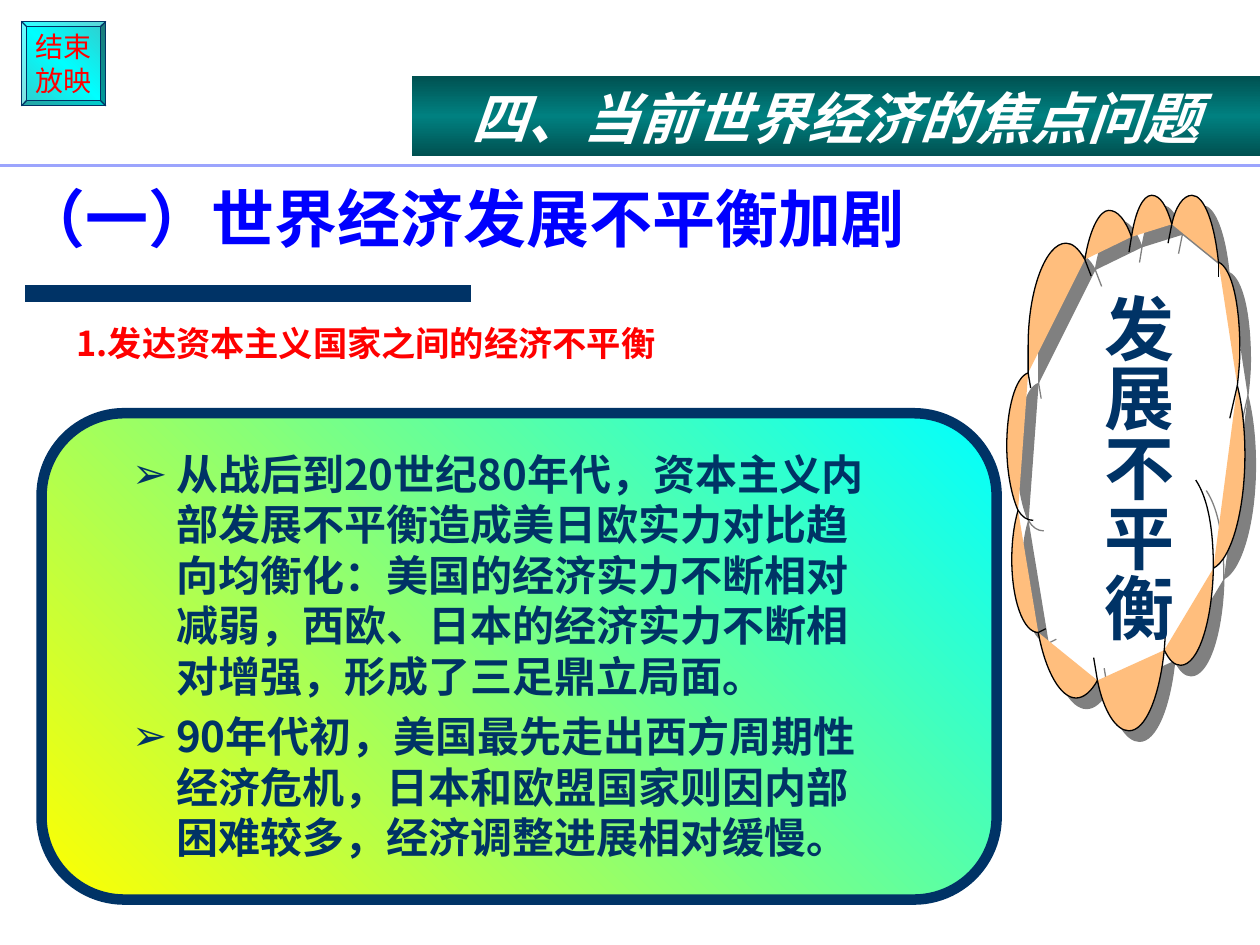
"""Build the slide on uneven development in the world economy."""
from lxml import etree
from pptx import Presentation, util as u
from pptx.dml.color import RGBColor
from pptx.enum import shapes, text
from pptx.oxml import parse_xml
from pptx.oxml.ns import qn

PX = 9144
NS = 'xmlns:a="http://schemas.openxmlformats.org/drawingml/2006/main"'
CJK = "Noto Sans CJK SC"
NAVY = "003366"

TITLE = "（一）世界经济发展不平衡加剧"
BANNER = "四、当前世界经济的焦点问题"
HEADING = "1.发达资本主义国家之间的经济不平衡"
SIDE = "发展不平衡"
BUTTON = ["结束", "放映"]
POINTS = [
    "从战后到20世纪80年代，资本主义内部发展不平衡造成美日欧实力对比趋向均衡化：美国的经济实力不断相对减弱，"
    "西欧、日本的经济实力不断相对增强，形成了三足鼎立局面。",
    "90年代初，美国最先走出西方周期性经济危机，日本和欧盟国家则因内部困难较多，经济调整进展相对缓慢。",
]
RULES = [(20, 233, 374, 233, NAVY, 10), (0, 131, 1000, 131, "9BA4FD", 1.75)]
CLOUD = (799, 155, 189, 425)
LOBES = [
    [(816, 296), (806, 299), (799, 324), (799, 354), (799, 375), (803, 394), (808, 405)],
    [(808, 405), (805, 415), (803, 429), (803, 444), (803, 476), (812, 502), (824, 502)],
    [(824, 502), (830, 534), (842, 554), (854, 554), (860, 554), (866, 549), (871, 540)],
    [(871, 540), (876, 565), (886, 580), (896, 580), (909, 580), (920, 554), (924, 516)],
    [(924, 516), (928, 524), (932, 528), (937, 528), (951, 528), (962, 494), (963, 451)],
    [(963, 451), (977, 444), (988, 406), (988, 361), (988, 341), (986, 322), (982, 306)],
    [(982, 306), (983, 297), (984, 287), (984, 278), (984, 242), (978, 213), (967, 208)],
    [(967, 208), (964, 178), (956, 155), (946, 155), (939, 155), (933, 164), (930, 178)],
    [(930, 178), (926, 164), (921, 155), (914, 155), (907, 155), (901, 168), (898, 188)],
    [(898, 188), (893, 174), (887, 167), (880, 167), (873, 167), (865, 181), (861, 206)],
    [(861, 206), (856, 197), (851, 193), (846, 193), (830, 193), (816, 230), (816, 274),
     (816, 281), (816, 289), (816, 296)],
]
CREASES = [
    [(808, 405), (811, 410), (815, 413), (820, 413)],
    [(963, 451), (963, 421), (959, 396), (949, 381)],
    [(824, 502), (830, 499)], [(871, 540), (868, 522)], [(924, 516), (925, 502)],
    [(982, 306), (976, 332)], [(967, 208), (967, 220)], [(930, 178), (927, 193)],
    [(898, 188), (896, 200)], [(861, 206), (866, 219)], [(816, 296), (818, 308)],
]


def rgb(c):
    return RGBColor.from_string(c)


def set_line(sp, color, width):
    sp.line.color.rgb = rgb(color)
    sp.line.width = u.Pt(width)


def set_gradient(sp, stops, angle):
    sp.fill.gradient()
    grad = sp._element.spPr.find(qn("a:gradFill"))
    stop_xml = "".join(f'<a:gs pos="{pos * 1000}"><a:srgbClr val="{c}"/></a:gs>' for pos, c in stops)
    grad.getparent().replace(grad, parse_xml(
        f'<a:gradFill {NS} rotWithShape="1"><a:gsLst>{stop_xml}</a:gsLst>'
        f'<a:lin ang="{angle * 60000}" scaled="0"/></a:gradFill>'))


def add_preset(kind, box, stops, angle, adjust=None):
    sp = s.shapes.add_shape(kind, *(v * PX for v in box))
    sp.shadow.inherit = False
    if adjust:
        sp.adjustments[0] = adjust
    set_gradient(sp, stops, angle)
    return sp


def add_text(sp, lines, font, color, size, para=None, frame=None, bullet=None, **fmt):
    tf = sp.text_frame
    settings = dict(word_wrap=True, auto_size=text.MSO_AUTO_SIZE.NONE,
                    vertical_anchor=text.MSO_ANCHOR.TOP, margin_left=10 * PX,
                    margin_right=10 * PX, margin_top=5 * PX, margin_bottom=5 * PX)
    for name, value in {**settings, **(frame or {})}.items():
        setattr(tf, name, value)
    for i, line in enumerate(lines):
        p = tf.paragraphs[0] if i == 0 else tf.add_paragraph()
        for name, value in {"alignment": text.PP_ALIGN.LEFT, **(para or {})}.items():
            if i or name != "space_before":
                setattr(p, name, value)
        if bullet:
            pPr = p._p.get_or_add_pPr()
            pPr.set("marL", str(47 * PX))
            pPr.set("indent", str(-35 * PX))
            etree.SubElement(etree.SubElement(pPr, qn("a:buClr")), qn("a:srgbClr")).set("val", color)
            etree.SubElement(pPr, qn("a:buFont")).set("typeface", "Arial")
            etree.SubElement(pPr, qn("a:buChar")).set("char", bullet)
        r = p.add_run()
        r.text = line
        for name, value in {"name": font, "size": u.Pt(size), **fmt}.items():
            setattr(r.font, name, value)
        r.font.color.rgb = rgb(color)
        etree.SubElement(r._r.get_or_add_rPr(), qn("a:ea")).set("typeface", font)


def add_box(box):
    return s.shapes.add_textbox(*(v * PX for v in box))


def path_xml(curves, box, attrs=""):
    x, y, w, h = box
    body = ""
    for curve in curves:
        pts = [f'<a:pt x="{(px - x) * PX}" y="{(py - y) * PX}"/>' for px, py in curve]
        body += f"<a:moveTo>{pts[0]}</a:moveTo>"
        if len(pts) == 2:
            body += f"<a:lnTo>{pts[1]}</a:lnTo>"
        for k in range(1, len(pts) - 2, 3):
            body += f'<a:cubicBezTo>{"".join(pts[k:k + 3])}</a:cubicBezTo>'
    return f'<a:path w="{w * PX}" h="{h * PX}" {attrs}>{body}</a:path>'


def add_cloud(box):
    x, y, w, h = box
    fb = s.shapes.build_freeform(x, y, scale=PX)
    fb.add_line_segments([(x + w, y), (x + w, y + h), (x, y + h)])
    sp = fb.convert_to_shape()
    paths = sp._element.spPr.find(qn("a:custGeom")).find(qn("a:pathLst"))
    paths.getparent().replace(paths, parse_xml(
        f'<a:pathLst {NS}>{path_xml(LOBES, box)}'
        + "".join(path_xml([c], box, 'fill="none"') for c in CREASES) + "</a:pathLst>"))
    sp.shadow.inherit = False
    sp.fill.solid()
    sp.fill.fore_color.rgb = rgb("FFBE7D")
    set_line(sp, "000000", 0.75)
    sp._element.spPr.find(qn("a:effectLst")).append(parse_xml(
        f'<a:outerShdw {NS} dist="107950" dir="2700000" algn="ctr" rotWithShape="0">'
        '<a:srgbClr val="808080"/></a:outerShdw>'))


prs = Presentation()
prs.slide_width, prs.slide_height = 1000 * PX, 750 * PX
s = prs.slides.add_slide(prs.slide_layouts[5])
CENTER = {"alignment": text.PP_ALIGN.CENTER}
MIDDLE = {"vertical_anchor": text.MSO_ANCHOR.MIDDLE, "word_wrap": False}

title = s.shapes.title
title.left, title.top, title.width, title.height = (v * PX for v in (8, 99, 984, 109))
add_text(title, [TITLE], CJK, "0000FF", 36, {"line_spacing": 0.9},
         {"vertical_anchor": text.MSO_ANCHOR.BOTTOM}, bold=True)

for x1, y1, x2, y2, color, width in RULES:
    rule = s.shapes.add_connector(shapes.MSO_CONNECTOR.STRAIGHT, x1 * PX, y1 * PX, x2 * PX, y2 * PX)
    set_line(rule, color, width)
    etree.SubElement(rule._element.spPr, qn("a:effectLst"))

button = add_preset(shapes.MSO_SHAPE.BEVEL, (17, 17, 67, 67),
                    [(0, "33CCCC"), (50, "00FFFF"), (100, "33CCCC")], 135, 0.06)
set_line(button, NAVY, 0.75)
add_text(button, BUTTON, "Arial", "FF0000", 16, CENTER, MIDDLE)

panel = add_preset(shapes.MSO_SHAPE.ROUNDED_RECTANGLE, (33, 328, 758, 386),
                   [(0, "00FFFF"), (100, "FFFF00")], 135, 0.17)
set_line(panel, NAVY, 6)
add_text(add_box((83, 351, 629, 352)), POINTS, CJK, NAVY, 24,
         {"space_before": u.Pt(6)}, bullet="➢", bold=True)

banner = add_preset(shapes.MSO_SHAPE.RECTANGLE, (327, 60, 673, 64),
                    [(0, "005151"), (50, "008080"), (100, "005151")], 90)
banner.line.fill.background()
add_text(banner, [BANNER], CJK, "FFFFFF", 32, CENTER, {"margin_top": 6 * PX}, bold=True, italic=True)
add_text(add_box((51, 257, 693, 79)), [HEADING], CJK, "FF0000", 19.6, {"line_spacing": 0.8}, bold=True)

add_cloud(CLOUD)

side = add_box((855, 223, 86, 310))
add_text(side, [SIDE], "Arial", NAVY, 40, bold=True,
         frame=dict(margin_left=5 * PX, margin_right=5 * PX, margin_top=10 * PX, margin_bottom=10 * PX))
side.text_frame._txBody.bodyPr.set("vert", "eaVert")

prs.save("out.pptx")
